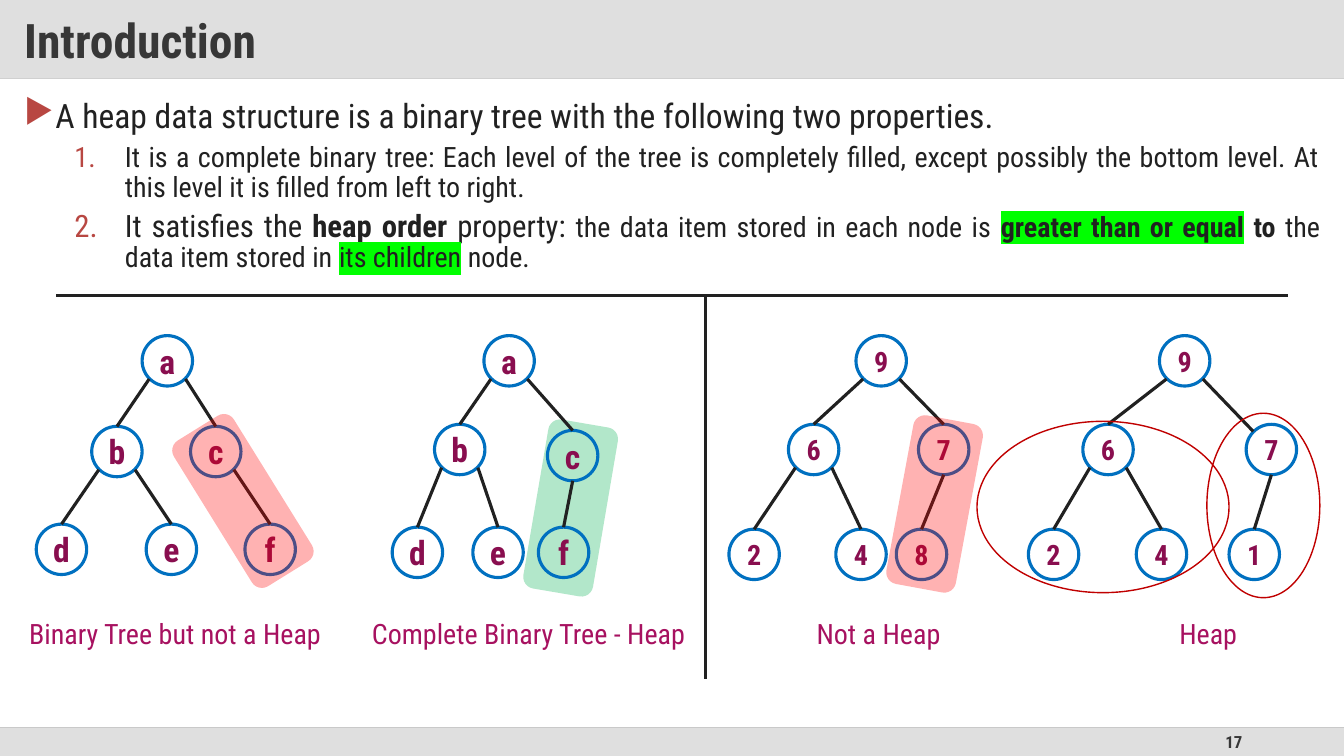
"""Build a slide that introduces the heap data structure with four example trees."""
from lxml import etree
from pptx import Presentation
from pptx.dml.color import RGBColor
from pptx.enum.shapes import MSO_CONNECTOR, MSO_SHAPE
from pptx.enum.text import MSO_ANCHOR, PP_ALIGN
from pptx.oxml.ns import qn
from pptx.util import Pt

PX = 9144
FONT = "Roboto Condensed"
RECT, ROUND, OVAL = MSO_SHAPE.RECTANGLE, MSO_SHAPE.ROUNDED_RECTANGLE, MSO_SHAPE.OVAL
STRAIGHT = MSO_CONNECTOR.STRAIGHT
MIDDLE = MSO_ANCHOR.MIDDLE
LEFT, CENTER, RIGHT, JUSTIFY = PP_ALIGN.LEFT, PP_ALIGN.CENTER, PP_ALIGN.RIGHT, PP_ALIGN.JUSTIFY
INK = RGBColor(0x21, 0x21, 0x21)
SLATE = RGBColor(0x37, 0x37, 0x37)
SILVER = RGBColor(0xC0, 0xC0, 0xC0)
PALE = RGBColor(0xDF, 0xDF, 0xDF)
RULE = RGBColor(0xD9, 0xD9, 0xD9)
BASE = RGBColor(0xC9, 0xC9, 0xC9)
BLUE = RGBColor(0x00, 0x70, 0xC0)
PLUM = RGBColor(0x89, 0x0E, 0x4F)
ROSE = RGBColor(0xA7, 0x11, 0x60)
RED = RGBColor(0xFF, 0x00, 0x00)
GREEN = RGBColor(0x00, 0xB0, 0x50)
CRIMSON = RGBColor(0xC0, 0x00, 0x00)
BRICK = RGBColor(0xB8, 0x47, 0x42)
LIME = RGBColor(0x00, 0xFF, 0x00)

deck = Presentation()
deck.slide_width, deck.slide_height = 1333 * PX, 750 * PX
slide = deck.slides.add_slide(deck.slide_layouts[6])
shapes = slide.shapes


def draw(kind, box, fill=None, alpha=100, edge=None, width=1, turn=0):
    shape = shapes.add_shape(kind, *[n * PX for n in box])
    shape.shadow.inherit = False
    shape.rotation = turn
    if fill is None:
        shape.fill.background()
    else:
        shape.fill.solid()
        shape.fill.fore_color.rgb = fill
        if alpha < 100:
            tone = shape._element.spPr.find(".//" + qn("a:srgbClr"))
            etree.SubElement(tone, qn("a:alpha"), val=str(alpha * 1000))
    if edge is None:
        shape.line.fill.background()
    else:
        shape.line.color.rgb = edge
        shape.line.width = Pt(width)
    return shape


def link(x1, y1, x2, y2, tint=INK, width=2.25):
    line = shapes.add_connector(STRAIGHT, x1 * PX, y1 * PX, x2 * PX, y2 * PX)
    line.line.color.rgb = tint
    line.line.width = Pt(width)
    etree.SubElement(line._element.spPr, qn("a:effectLst"))


labels = []
draw(RECT, (0, 722, 1333, 28), PALE)
page = shapes.add_textbox(942 * PX, 722 * PX, 300 * PX, 28 * PX)
labels.append((page, "17", 12, SLATE, True, RIGHT))
link(0, 78, 1333, 78, RULE, 1)
link(0, 722, 1333, 722, BASE, 1)
title = draw(RECT, (0, 0, 1333, 78), SILVER, 50)
labels.append((title, "Introduction", 34, SLATE, True, LEFT))

body = shapes.add_textbox(14 * PX, 94 * PX, 1305 * PX, 611 * PX)
frame = body.text_frame
frame.word_wrap = True
points = [
    [("A heap data structure is a binary tree with the following two properties.", 24, False, False)],
    [("It is a complete binary tree: Each level of the tree is completely filled, except "
      "possibly the bottom level. At this level it is filled from left to right.", 20, False, False)],
    [("It satisfies the ", 22, False, False),
     ("heap order ", 22, True, False),
     ("property: ", 22, False, False),
     ("the data item stored in each node is ", 20, False, False),
     ("greater than or equal", 20, True, True),
     (" to ", 20, True, False),
     ("the data item stored in ", 20, False, False),
     ("its children", 20, False, True),
     (" node.", 20, False, False)],
]
for i, runs in enumerate(points):
    para = frame.paragraphs[0] if i == 0 else frame.add_paragraph()
    props = para._p.get_or_add_pPr()
    margin, hang = (100, 50) if i else (29, 29)
    props.set("marL", str(margin * PX))
    props.set("indent", str(-hang * PX))
    tone = etree.SubElement(props, qn("a:buClr"))
    etree.SubElement(tone, qn("a:srgbClr"), val=str(BRICK))
    if i:
        etree.SubElement(props, qn("a:buAutoNum"), type="arabicPeriod")
        para.level = 1
        para.space_before = Pt(5)
    else:
        etree.SubElement(props, qn("a:buChar"), char="▶")
    para.alignment = JUSTIFY
    para.line_spacing = 0.9
    for text, size, bold, mark in runs:
        run = para.add_run()
        run.text = text
        run.font.size = Pt(size)
        run.font.bold = bold
        run.font.color.rgb = INK
        run.font.name = FONT
        if mark:
            glow = etree.Element(qn("a:highlight"))
            etree.SubElement(glow, qn("a:srgbClr"), val=str(LIME))
            run._r.rPr.find(qn("a:solidFill")).addnext(glow)

draw(ROUND, (531, 419, 70, 170), GREEN, 30, turn=9.7)

SIDE = 50
SW, SE, SOUTH = (7, 43), (43, 43), (25, 50)
NORTH, NW = (25, 0), (7, 7)
trees = [
    ("abcdef", 24, [(141, 333), (91, 423), (189, 423), (36, 520), (145, 520), (243, 520)],
     SE, NORTH, "Binary Tree but not a Heap", 19, 324, LEFT),
    ("abcdef", 24, [(480, 333), (431, 421), (543, 427), (389, 523), (469, 523), (534, 523)],
     SOUTH, NORTH, "Complete Binary Tree - Heap", 359, 335, LEFT),
    ("967248", 20, [(849, 333), (782, 421), (911, 421), (723, 525), (829, 525), (889, 525)],
     SOUTH, NORTH, "Not a Heap", 800, 145, LEFT),
    ("967241", 20, [(1150, 333), (1074, 421), (1236, 421), (1020, 525), (1127, 525), (1219, 525)],
     SOUTH, NW, "Heap ", 1152, 99, CENTER),
]
for keys, size, spots, leave, enter, name, x, wide, align in trees:
    for key, (left, top) in zip(keys, spots):
        node = draw(OVAL, (left, top, SIDE, SIDE), edge=BLUE, width=2.25)
        labels.append((node, key, size, PLUM, True, CENTER))
    edges = [(0, 1, SW, NORTH), (0, 2, SE, enter), (1, 3, SW, NORTH),
             (1, 4, SE, NORTH), (2, 5, leave, NORTH)]
    for up, down, start, end in edges:
        (ux, uy), (dx, dy) = spots[up], spots[down]
        link(ux + start[0], uy + start[1], dx + end[0], dy + end[1])
    note = shapes.add_textbox(x * PX, 606 * PX, wide * PX, 44 * PX)
    labels.append((note, name, 20, ROSE, False, align))

draw(ROUND, (206, 412, 70, 170), RED, 30, turn=328.2)
draw(ROUND, (892, 415, 70, 170), RED, 30, turn=10.5)
draw(OVAL, (969, 418, 250, 170), edge=CRIMSON)
draw(OVAL, (1197, 410, 112, 183), edge=CRIMSON)
link(700, 294, 700, 674)
link(56, 293, 1277, 293)

for shape, text, size, tint, bold, align in labels:
    frame = shape.text_frame
    frame.text = text
    frame.word_wrap = True
    frame.vertical_anchor = MIDDLE
    if align == CENTER and bold:
        frame.margin_left = frame.margin_right = 0
    para = frame.paragraphs[0]
    para.alignment = align
    font = para.runs[0].font
    font.size = Pt(size)
    font.bold = bold
    font.color.rgb = tint
    font.name = FONT
title.text_frame.margin_left = title.text_frame.margin_right = 24 * PX

deck.save("out.pptx")
